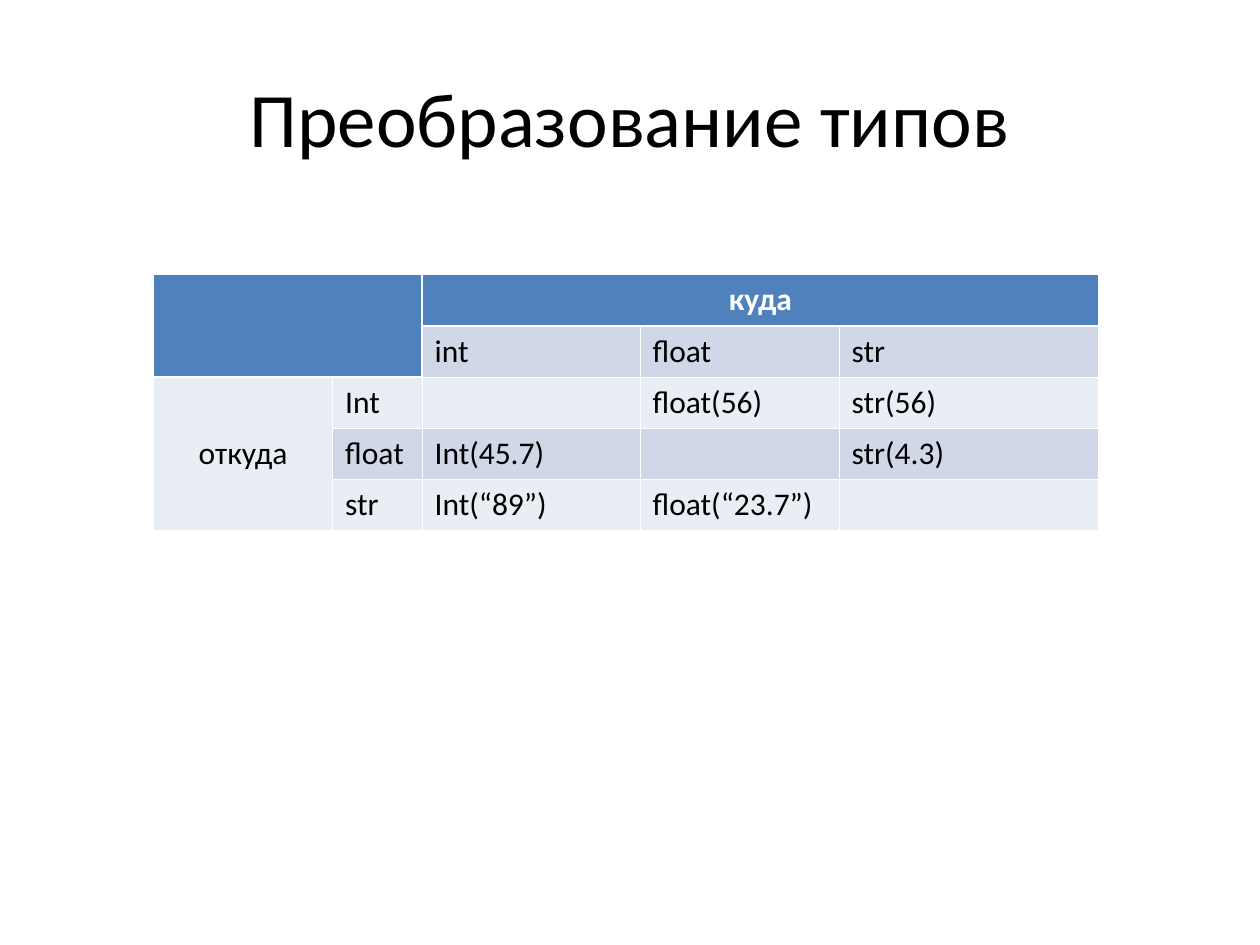
"""Build a slide with a table of Python type conversions."""
from lxml import etree
from pptx import Presentation
from pptx.dml.color import RGBColor
from pptx.enum.text import MSO_ANCHOR, PP_ALIGN
from pptx.oxml.ns import qn
from pptx.util import Inches, Pt

CENTER, LEFT = PP_ALIGN.CENTER, PP_ALIGN.LEFT
MIDDLE, TOP = MSO_ANCHOR.MIDDLE, MSO_ANCHOR.TOP
BLACK = RGBColor(0x00, 0x00, 0x00)
WHITE = RGBColor(0xFF, 0xFF, 0xFF)
HEADER_BLUE = RGBColor(0x4F, 0x81, 0xBD)
BANDS = [RGBColor(0xE9, 0xED, 0xF4), RGBColor(0xD0, 0xD8, 0xE8)]
THIN, THICK = Pt(0.45), Pt(1.47)
COLUMN_WIDTHS = [1.42, 0.71, 1.73, 1.58, 2.06]
ROW_HEIGHT = 0.406
CONVERSIONS = [
    ["", "", "куда", "", ""],
    ["", "", "int", "float", "str"],
    ["откуда", "Int", "", "float(56)", "str(56)"],
    ["", "float", "Int(45.7)", "", "str(4.3)"],
    ["", "str", "Int(“89”)", "float(“23.7”)", ""],
]


def write(frame, text, size=18, color=BLACK, bold=False, align=LEFT, anchor=TOP):
    """Put one formatted paragraph into a text frame."""
    frame.vertical_anchor = anchor
    para = frame.paragraphs[0]
    para.alignment = align
    para.font.size = Pt(size)
    if text:
        span = para.add_run()
        span.text = text
        span.font.name = "Calibri"
        span.font.size = Pt(size)
        span.font.bold = bold
        span.font.color.rgb = color


def add_border(cell, side, width):
    """Draw a white line along one side of a table cell."""
    line = etree.SubElement(cell._tc.get_or_add_tcPr(), qn(f"a:ln{side}"), w=str(int(width)))
    fill = etree.SubElement(line, qn("a:solidFill"))
    etree.SubElement(fill, qn("a:srgbClr"), val=str(WHITE))


deck = Presentation()
deck.slide_width, deck.slide_height = Inches(10), Inches(7.5)
page = deck.slides.add_slide(deck.slide_layouts[5])

title = page.shapes.title
title.left, title.top = Inches(0.5), Inches(0.3)
title.width, title.height = Inches(9), Inches(1.25)
write(title.text_frame, "Преобразование типов", size=44, align=CENTER, anchor=MIDDLE)

table = page.shapes.add_table(
    len(CONVERSIONS), len(COLUMN_WIDTHS), Inches(1.22), Inches(2.18),
    Inches(sum(COLUMN_WIDTHS)), Inches(ROW_HEIGHT * len(CONVERSIONS)),
).table
for column, width in zip(table.columns, COLUMN_WIDTHS):
    column.width = Inches(width)

for row, texts in enumerate(CONVERSIONS):
    for col, text in enumerate(texts):
        cell = table.cell(row, col)
        header_rows = 2 if col < 2 else 1
        is_header = row < header_rows
        thick_sides = {
            "L": row < 2 and col == 2,
            "R": row < 2 and col < 2,
            "T": row == header_rows,
            "B": is_header,
        }
        for side, is_thick in thick_sides.items():
            add_border(cell, side, THICK if is_thick else THIN)
        cell.fill.solid()
        cell.fill.fore_color.rgb = HEADER_BLUE if is_header else BANDS[row % 2]
        spans_rows = col == 0 and not is_header
        write(
            cell.text_frame, text, bold=is_header,
            color=WHITE if is_header else BLACK,
            align=CENTER if is_header or spans_rows else LEFT,
        )
        cell.vertical_anchor = MIDDLE if spans_rows else TOP

for first, last in [((0, 0), (1, 1)), ((0, 2), (0, 4)), ((2, 0), (4, 0))]:
    table.cell(*first).merge(table.cell(*last))

deck.save("out.pptx")
